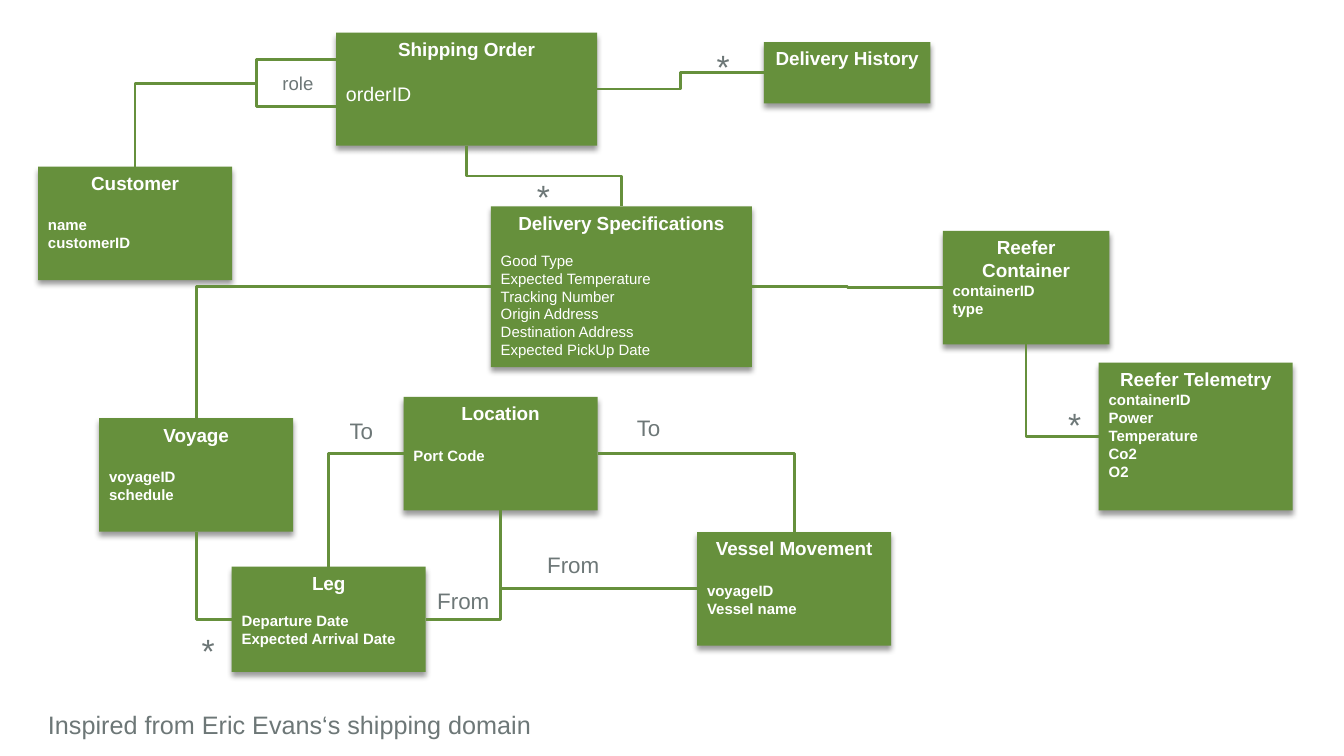
"""Builds a one-slide domain model of shipping orders, voyages and containers."""
import lxml.etree
import pptx
import pptx.dml.color
import pptx.enum.shapes
import pptx.enum.text
import pptx.oxml.ns
import pptx.util

Cm = pptx.util.Cm
Pt = pptx.util.Pt
qn = pptx.oxml.ns.qn
ALIGN = pptx.enum.text.PP_ALIGN
COLOURS = {"green": "66903C", "white": "FFFFFF", "grey": "6D7777", "shadow": "000000"}
TOP, LEFT, BOTTOM, RIGHT = range(4)


def colour(name):
    return pptx.dml.color.RGBColor.from_string(COLOURS[name])


def write(paragraph, text, size, tint="grey", bold=False, align=ALIGN.LEFT, before=0):
    paragraph.alignment = align
    paragraph.space_before = Pt(before)
    run = paragraph.add_run()
    run.text = text
    run.font.name = "Arial"
    run.font.size = Pt(size)
    run.font.bold = bold
    run.font.color.rgb = colour(tint)


class Diagram:
    title_size = 13.5
    line_width = Pt(2)

    def __init__(self, slide):
        self.shapes = slide.shapes

    def rectangle(self, left, top, width, height):
        rectangle = self.shapes.add_shape(
            pptx.enum.shapes.MSO_SHAPE.RECTANGLE, Cm(left), Cm(top), Cm(width), Cm(height))
        rectangle.shadow.inherit = False
        rectangle.text_frame.word_wrap = True
        return rectangle

    def entity(self, title, attributes, left, top, width=4.89, height=2.86,
               gap=15.5, size=10.7, bold=True):
        entity = self.rectangle(left, top, width, height)
        entity.fill.solid()
        entity.fill.fore_color.rgb = colour("green")
        entity.line.fill.background()
        self.drop_shadow(entity)
        frame = entity.text_frame
        frame.vertical_anchor = pptx.enum.text.MSO_ANCHOR.TOP
        write(frame.paragraphs[0], title, self.title_size, "white", True, ALIGN.CENTER)
        for index, attribute in enumerate(attributes):
            write(frame.add_paragraph(), attribute, size, "white", bold,
                  before=0 if index else gap)
        return entity

    def drop_shadow(self, entity):
        effects = entity._element.spPr.find(qn("a:effectLst"))
        shadow = lxml.etree.SubElement(
            effects, qn("a:outerShdw"), blurRad=str(Pt(4)), dist=str(Pt(3)),
            dir="5400000", rotWithShape="0")
        tint = lxml.etree.SubElement(shadow, qn("a:srgbClr"), val=COLOURS["shadow"])
        lxml.etree.SubElement(tint, qn("a:alpha"), val="40000")

    def role(self, text, left, top, width, height):
        role = self.rectangle(left, top, width, height)
        role.fill.background()
        role.line.color.rgb = colour("green")
        role.line.width = self.line_width
        frame = role.text_frame
        frame.margin_left = frame.margin_right = Cm(0.33)
        frame.margin_top = frame.margin_bottom = Cm(0.18)
        frame.vertical_anchor = pptx.enum.text.MSO_ANCHOR.MIDDLE
        write(frame.paragraphs[0], text, 13.3, align=ALIGN.CENTER)
        return role

    def label(self, text, size, left, top, width, height):
        frame = self.shapes.add_textbox(Cm(left), Cm(top), Cm(width), Cm(height)).text_frame
        frame.word_wrap = False
        frame.auto_size = pptx.enum.text.MSO_AUTO_SIZE.SHAPE_TO_FIT_TEXT
        write(frame.paragraphs[0], text, size)

    def link(self, start, start_side, end, end_side):
        link = self.shapes.add_connector(
            pptx.enum.shapes.MSO_CONNECTOR.ELBOW, Cm(0), Cm(0), Cm(0), Cm(0))
        link.begin_connect(start, start_side)
        link.end_connect(end, end_side)
        link.line.color.rgb = colour("green")
        link.line.width = self.line_width
        properties = link._element.spPr
        lxml.etree.SubElement(properties, qn("a:effectLst"))
        if start_side % 2 != end_side % 2:
            properties.find(qn("a:prstGeom")).set("prst", "bentConnector2")
        elif start_side == BOTTOM:
            self.turn_downward(link)

    def turn_downward(self, link):
        width, height = link.width, link.height
        link.left += (width - height) // 2
        link.top += (height - width) // 2
        link.width, link.height = height, width
        transform = link._element.spPr.find(qn("a:xfrm"))
        transform.set("rot", "16200000")
        transform.set("flipH", "1")


def main():
    deck = pptx.Presentation()
    deck.slide_width, deck.slide_height = Cm(33.87), Cm(19.05)
    diagram = Diagram(deck.slides.add_slide(deck.slide_layouts[6]))

    order = diagram.entity("Shipping Order", ["orderID"], 8.47, 0.82, 6.58, 2.85,
                           size=14, bold=False)
    history = diagram.entity("Delivery History", [], 19.25, 1.06, 4.2, 1.55)
    customer = diagram.entity("Customer", ["name", "customerID"], 0.96, 4.2)
    specifications = diagram.entity(
        "Delivery Specifications",
        ["Good Type", "Expected Temperature", "Tracking Number", "Origin Address",
         "Destination Address", "Expected PickUp Date"],
        12.37, 5.2, 6.58, 4.05, gap=12.3, bold=False)
    container = diagram.entity("Reefer Container", ["containerID", "type"],
                               23.76, 5.82, 4.2, gap=0)
    telemetry = diagram.entity(
        "Reefer Telemetry", ["containerID", "Power", "Temperature", "Co2", "O2"],
        27.69, 9.14, height=3.72, gap=0)
    voyage = diagram.entity("Voyage", ["voyageID", "schedule"], 2.5, 10.54)
    location = diagram.entity("Location", ["Port Code"], 10.17, 10)
    leg = diagram.entity("Leg", ["Departure Date", "Expected Arrival Date"],
                         5.84, 14.28, height=2.65, gap=12.3)
    vessel = diagram.entity("Vessel Movement", ["voyageID", "Vessel name"], 17.57, 13.41)
    role = diagram.role("role", 6.47, 1.51, 2.08, 1.18)

    for ends in [
        (role, LEFT, customer, TOP),
        (history, LEFT, order, RIGHT),
        (order, BOTTOM, specifications, TOP),
        (specifications, LEFT, voyage, TOP),
        (container, LEFT, specifications, RIGHT),
        (telemetry, LEFT, container, BOTTOM),
        (leg, LEFT, voyage, BOTTOM),
        (leg, RIGHT, location, BOTTOM),
        (location, LEFT, leg, TOP),
        (location, RIGHT, vessel, TOP),
        (vessel, LEFT, location, BOTTOM),
    ]:
        diagram.link(*ends)

    for left, top in [(17.81, 1.02), (13.28, 4.32), (26.67, 10.06), (4.83, 15.75)]:
        diagram.label("*", 24, left, top, 0.84, 1.28)
    for text, left, top, width in [
        ("To", 8.56, 10.39, 1.12), ("To", 15.8, 10.31, 1.12),
        ("From", 13.54, 13.77, 1.85), ("From", 10.77, 14.66, 1.85),
    ]:
        diagram.label(text, 16, left, top, width, 0.94)
    diagram.label("Inspired from Eric Evans‘s shipping domain", 18, 0.96, 17.75, 12.8, 1.03)

    deck.save("out.pptx")


if __name__ == "__main__":
    main()
